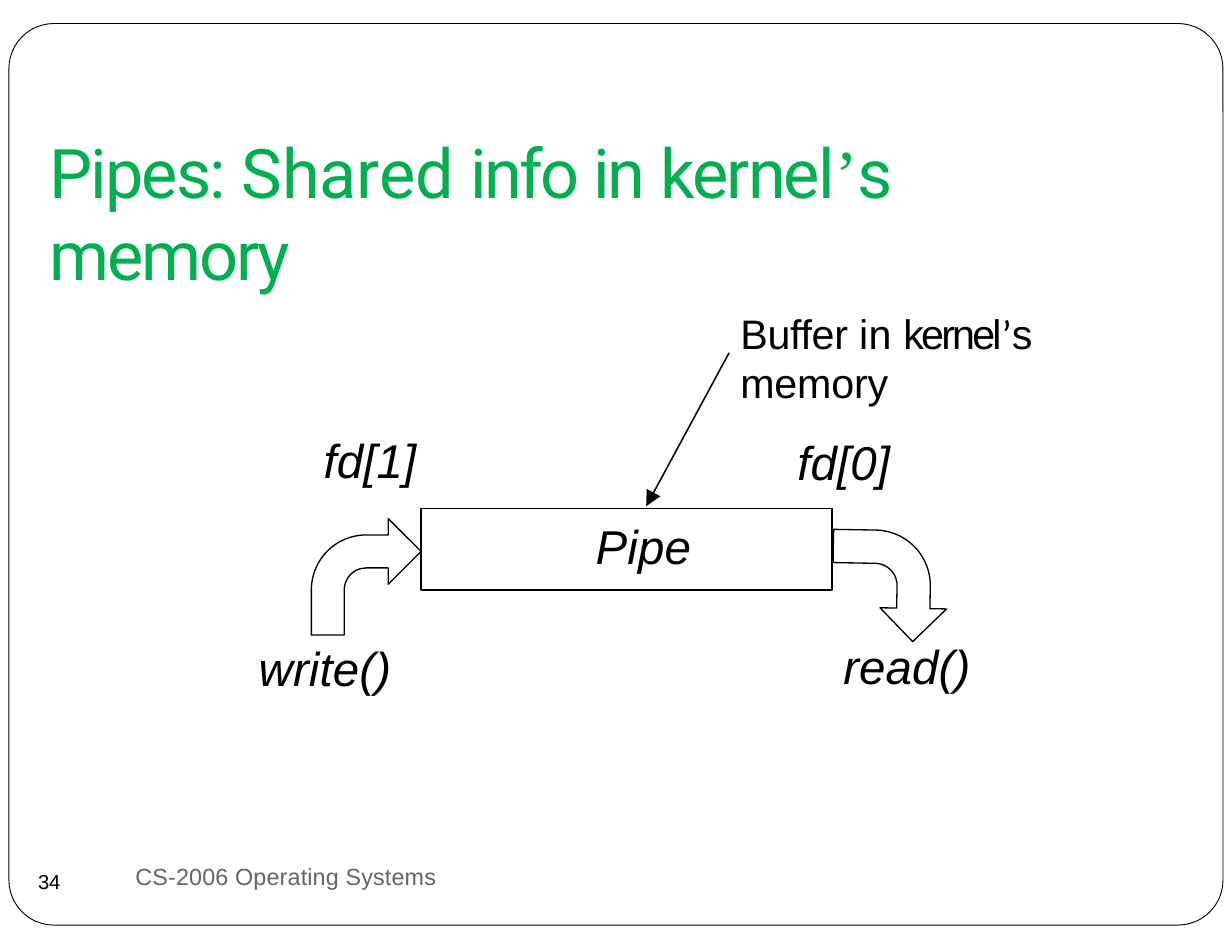
from pptx import Presentation
from pptx.dml.color import RGBColor
from pptx.enum.shapes import MSO_CONNECTOR, MSO_SHAPE
from pptx.enum.text import MSO_ANCHOR, PP_ALIGN
from pptx.oxml.ns import qn
from pptx.util import Inches, Pt
from lxml import etree

RECT = MSO_SHAPE.RECTANGLE
ROUND = MSO_SHAPE.ROUNDED_RECTANGLE
BENT = MSO_SHAPE.BENT_ARROW
LINE = MSO_CONNECTOR.STRAIGHT
TOP = MSO_ANCHOR.TOP
LEFT, MID = PP_ALIGN.LEFT, PP_ALIGN.CENTER

BLACK, GREEN, GREY = "000000", "00AF50", "696464"


def color(code):
    return RGBColor.from_string(code)


def write(para, runs, size=30.5, font="Arial", ink=BLACK, slant=False,
          align=LEFT, before=0, lead=None, indent=0):
    """Fill a paragraph; each run is (text, letter spacing[, font])."""
    para.alignment = align
    para.space_before = Pt(before)
    if lead:
        para.line_spacing = Pt(lead)
    if indent:
        para._p.get_or_add_pPr().set("marL", str(Inches(indent)))
    for text, gap, *face in runs:
        run = para.add_run()
        run.text = text
        run.font.name = face[0] if face else font
        run.font.size = Pt(size)
        run.font.italic = slant
        run.font.color.rgb = color(ink)
        run._r.get_or_add_rPr().set("spc", str(round(gap * 100)))


class Board:
    def __init__(self, slide, width=0.84):
        self.slide = slide
        self.width = width

    def frame(self, shape, left=0.01, top=0):
        """Set the margins of a text frame and return it."""
        body = shape.text_frame
        body.word_wrap = True
        body.vertical_anchor = TOP
        body.margin_left, body.margin_top = Inches(left), Inches(top)
        body.margin_right = body.margin_bottom = 0
        return body

    def shape(self, kind, box, width=None, adjust=(), turn=0):
        item = self.slide.shapes.add_shape(kind, *map(Inches, box))
        item.shadow.inherit = False
        item.fill.background()
        item.line.color.rgb = color(BLACK)
        item.line.width = Pt(width or self.width)
        for i, value in enumerate(adjust):
            item.adjustments[i] = value
        item.rotation = turn
        return item

    def text(self, box, runs, top=0, **style):
        item = self.slide.shapes.add_textbox(*map(Inches, box))
        body = self.frame(item, top=top)
        write(body.paragraphs[0], runs, **style)
        return body

    def label(self, box, word):
        self.text(box, [(word, 0.1)], top=0.02, slant=True, before=1.3)

    def arrow(self, *ends):
        item = self.slide.shapes.add_connector(LINE, *map(Inches, ends))
        item.line.color.rgb = color(BLACK)
        item.line.width = Pt(1)
        etree.SubElement(item.line._get_or_add_ln(), qn("a:tailEnd"),
                         type="triangle", w="lg", len="lg")
        etree.SubElement(item._element.spPr, qn("a:effectLst"))


def main():
    deck = Presentation()
    deck.slide_width, deck.slide_height = Inches(11), Inches(8.5)
    board = Board(deck.slides.add_slide(deck.slide_layouts[6]))

    # Border and title
    board.shape(ROUND, (0.08, 0.21, 10.84, 8.05), width=0.6, adjust=[0.05])
    board.text((0.43, 1.15, 9, 1.5),
               [("Pipes: ", -1.2), ("Shared ", -0.1), ("info ", -1.9),
                ("in ", -1.4), ("kernel", -1.3),
                ("’", -1.3, "Times New Roman"), ("s ", -1.3),
                ("memory", -1.4)],
               top=0.01, size=44, font="Roboto", ink=GREEN, before=1)

    # Pipe with the arrows into and out of it
    pipe = board.shape(RECT, (3.76, 4.54, 3.67, 0.73))
    write(board.frame(pipe, left=0.3, top=0.08).paragraphs[0],
          [("Pipe", 0.1)], slant=True, align=MID, before=6.1)
    bend = [0.3, 0.3, 0.3, 0.5]
    board.shape(BENT, (2.78, 4.63, 0.98, 1.04), adjust=bend)
    board.shape(BENT, (7.45, 4.72, 0.99, 1.02), adjust=bend, turn=91)

    # Labels of the two ends
    board.label((2.3, 5.69, 1.3, 0.54), "write()")
    board.label((7.52, 5.67, 1.3, 0.54), "read()")
    board.label((2.88, 3.83, 1, 0.54), "fd[1]")

    # Buffer note, with the read end below it
    note = board.text((6.6, 2.73, 2.85, 1.66),
                      [("Buffer ", -0.2), ("in ", 0.1), ("kernel", -1.8),
                       ("’", -1.8, "Calibri"), ("s ", -1.8),
                       ("memory", -0.1)],
                      top=0.03, size=26.5, before=2.2, lead=31.4)
    write(note.add_paragraph(), [("fd[0]", 0.1)], slant=True,
          before=17.1, indent=0.51)
    board.arrow(6.51, 3.15, 5.77, 4.52)

    # Footer
    board.text((1.2, 7.7, 3, 0.27), [("CS-2006 Operating Systems", 0.1)],
               size=15, ink=GREY, lead=17.9)
    board.text((0.33, 7.76, 0.3, 0.23), [("34", 0)], size=13, lead=15.6)

    deck.save("out.pptx")


if __name__ == "__main__":
    main()
